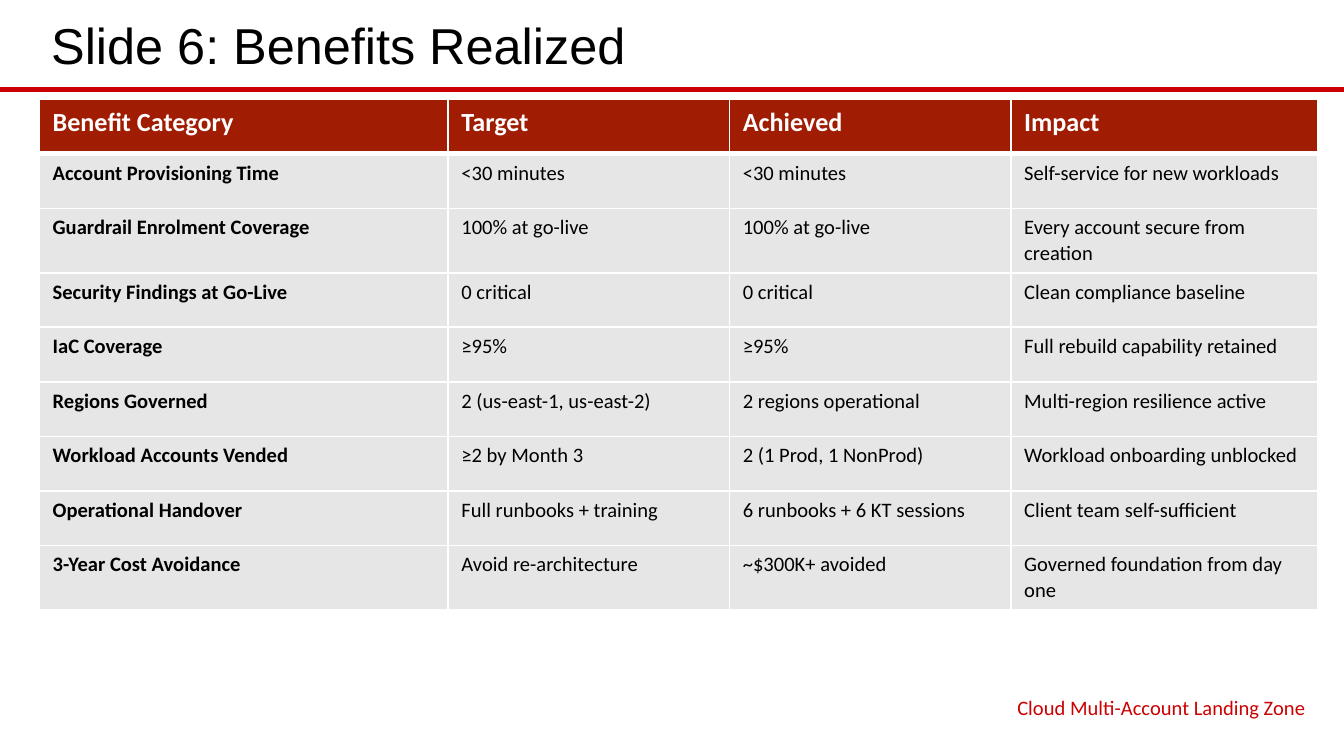
from lxml import etree
from pptx import Presentation
from pptx.dml.color import RGBColor
from pptx.enum.shapes import MSO_CONNECTOR
from pptx.enum.text import MSO_ANCHOR, MSO_AUTO_SIZE, PP_ALIGN
from pptx.oxml.ns import qn
from pptx.util import Pt

PX = 9525
STRAIGHT = MSO_CONNECTOR.STRAIGHT
MIDDLE = MSO_ANCHOR.MIDDLE
NO_FIT = MSO_AUTO_SIZE.NONE
LEFT, RIGHT = PP_ALIGN.LEFT, PP_ALIGN.RIGHT

BLACK = RGBColor(0x00, 0x00, 0x00)
WHITE = RGBColor(0xFF, 0xFF, 0xFF)
RED = RGBColor(0xCC, 0x00, 0x00)
BRICK = RGBColor(0xA0, 0x1C, 0x02)
GREY = RGBColor(0xE7, 0xE6, 0xE6)

ROWS = [
    ("Benefit Category", "Target", "Achieved", "Impact"),
    ("Account Provisioning Time", "<30 minutes", "<30 minutes", "Self-service for new workloads"),
    ("Guardrail Enrolment Coverage", "100% at go-live", "100% at go-live", "Every account secure from creation"),
    ("Security Findings at Go-Live", "0 critical", "0 critical", "Clean compliance baseline"),
    ("IaC Coverage", "≥95%", "≥95%", "Full rebuild capability retained"),
    ("Regions Governed", "2 (us-east-1, us-east-2)", "2 regions operational", "Multi-region resilience active"),
    ("Workload Accounts Vended", "≥2 by Month 3", "2 (1 Prod, 1 NonProd)", "Workload onboarding unblocked"),
    ("Operational Handover", "Full runbooks + training", "6 runbooks + 6 KT sessions", "Client team self-sufficient"),
    ("3-Year Cost Avoidance", "Avoid re-architecture", "~$300K+ avoided", "Governed foundation from day one"),
]
COLUMN_WIDTHS = [292, 201, 201, 219]
ROW_HEIGHT = 39


def write_text(frame, text, **font_values):
    frame.text = text
    font = frame.paragraphs[0].runs[0].font
    font.color.rgb = font_values.pop("color")
    for name, value in font_values.items():
        setattr(font, name, value)


def add_border(cell, side, points):
    properties = cell._tc.get_or_add_tcPr()
    line = etree.SubElement(properties, qn(f"a:ln{side}"), w=str(Pt(points)))
    fill = etree.SubElement(line, qn("a:solidFill"))
    etree.SubElement(fill, qn("a:srgbClr"), val=str(WHITE))


deck = Presentation()
deck.slide_width, deck.slide_height = 960 * PX, 540 * PX
page = deck.slides.add_slide(deck.slide_layouts[5])

rule = page.shapes.add_connector(STRAIGHT, 0, 64 * PX, 960 * PX, 64 * PX)
rule.line.color.rgb = RED
rule.line.width = Pt(2.25)
etree.SubElement(rule._element.spPr, qn("a:effectLst"))

title = page.shapes.title
footer = page.shapes.add_textbox(0, 0, PX, PX)
texts = [
    (title, (27, 4, 915, 56), "Slide 6: Benefits Realized", LEFT,
     {"size": Pt(27), "name": "Arial", "color": BLACK}),
    (footer, (604, 493, 338, 25), "Cloud Multi-Account Landing Zone", RIGHT,
     {"size": Pt(11), "name": "Calibri", "color": RED}),
]
for box, place, text, alignment, font_values in texts:
    for name, length in zip(("left", "top", "width", "height"), place):
        setattr(box, name, length * PX)
    frame = box.text_frame
    for name, value in {"word_wrap": True, "auto_size": NO_FIT, "vertical_anchor": MIDDLE}.items():
        setattr(frame, name, value)
    write_text(frame, text, **font_values)
    frame.paragraphs[0].alignment = alignment

table = page.shapes.add_table(
    len(ROWS), len(COLUMN_WIDTHS), 28 * PX, 71 * PX,
    sum(COLUMN_WIDTHS) * PX, len(ROWS) * ROW_HEIGHT * PX,
).table
for column, width in zip(table.columns, COLUMN_WIDTHS):
    column.width = width * PX
for row_index, labels in enumerate(ROWS):
    table.rows[row_index].height = ROW_HEIGHT * PX
    header = row_index == 0
    for column_index, label in enumerate(labels):
        cell = table.cell(row_index, column_index)
        borders = {"L": 1, "R": 1, "T": 3 if row_index == 1 else 1, "B": 3 if header else 1}
        for side, points in borders.items():
            add_border(cell, side, points)
        cell.fill.solid()
        cell.fill.fore_color.rgb = BRICK if header else GREY
        write_text(
            cell.text_frame, label, name="Calibri", size=Pt(14 if header else 11),
            bold=header or column_index == 0, color=WHITE if header else BLACK,
        )

deck.save("out.pptx")
